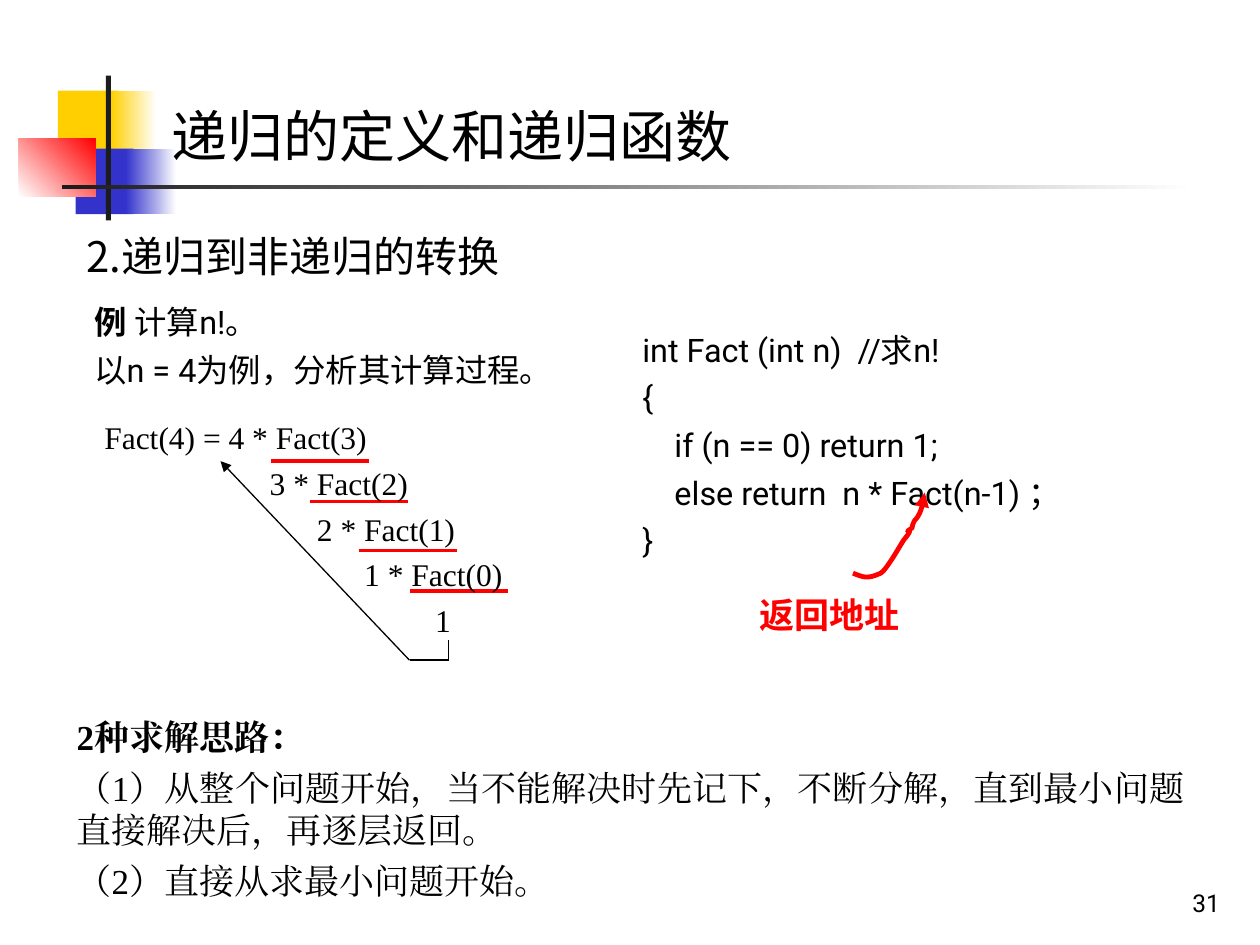
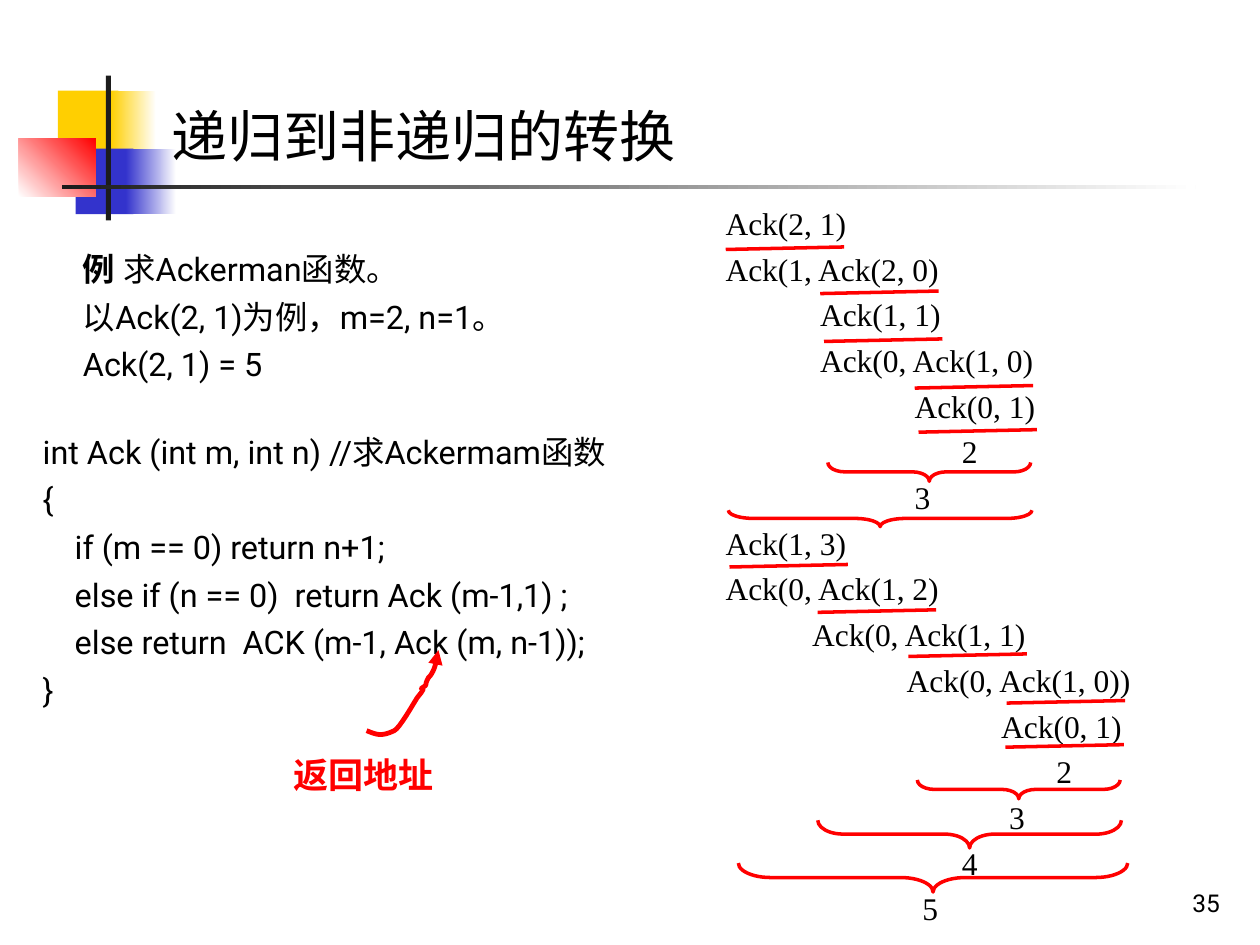
from lxml import etree
from pptx import Presentation
from pptx import util as u
from pptx.dml.color import RGBColor
from pptx.enum import shapes, text
from pptx.oxml.ns import qn

COLORS = {
    "ink": "000000",
    "accent": "FF0000",
    "paper": "FFFFFF",
    "yellow": "FFCF01",
    "blue": "3333CC",
    "rule": "1C1C1C",
}
SANS, SERIF = "Roboto", "Times New Roman"
TITLE_FONT, HEADING_FONT = "Noto Sans CJK JP", "Noto Sans CJK SC"

# The grid has 10 columns and 7.5 rows of square cells.
COLUMNS, ROWS = 10, 7.5
CELL = u.Inches(1)
SPACE_WIDTH = 0.0625  # one step of trace indentation, in cells

# Curved arrow, relative to its start: control, control, end.
ARROW_CURVES = [
    [(0.08, 0.03), (0.11, 0.05), (0.22, 0)],
    [(0.26, -0.02), (0.37, -0.21), (0.40, -0.26)],
    [(0.52, -0.40), (0.37, -0.29), (0.47, -0.36)],
    [(0.47, -0.38), (0.48, -0.40), (0.49, -0.42)],
    [(0.50, -0.43), (0.51, -0.44), (0.52, -0.46)],
    [(0.54, -0.49), (0.55, -0.54), (0.56, -0.58)],
    [(0.57, -0.59), (0.57, -0.64), (0.57, -0.64)],
]


def grid(*lengths):
    return [u.Emu(round(length * CELL)) for length in lengths]


def rgb(name):
    return RGBColor.from_string(COLORS[name])


def add_block(slide, box, start, end=None, angle=0):
    """Add a plain rectangle, or one fading from start to end."""
    shape = slide.shapes.add_shape(shapes.MSO_SHAPE.RECTANGLE, *grid(*box))
    shape.shadow.inherit = False
    shape.line.fill.background()
    if end is None:
        shape.fill.solid()
        shape.fill.fore_color.rgb = rgb(start)
        return
    shape.fill.gradient()
    shape.fill.gradient_angle = angle
    for stop, color in zip(shape.fill.gradient_stops, (start, end)):
        stop.color.rgb = rgb(color)


def add_text(slide, box, lines, size, font=SANS, color="ink", bold=False,
             align=None, gap=0, bottom=False, indents=()):
    """Add one paragraph per line; indents counts steps for each line."""
    shape = slide.shapes.add_textbox(*grid(*box))
    frame = shape.text_frame
    frame.word_wrap = True
    if bottom:
        frame.vertical_anchor = text.MSO_ANCHOR.BOTTOM
    frame.text = "\n".join(lines)
    for index, paragraph in enumerate(frame.paragraphs):
        paragraph.alignment = align
        paragraph.line_spacing = u.Pt(1.2 * size)
        if index:
            paragraph.space_before = u.Pt(gap)
        if indents:
            properties = paragraph._p.get_or_add_pPr()
            properties.set("marL", str(grid(indents[index] * SPACE_WIDTH)[0]))
            properties.set("indent", "0")
        for run in paragraph.runs:
            format_run(run, size, font, color, bold)
    return frame


def format_run(run, size, font, color, bold):
    run.font.size = u.Pt(size)
    run.font.name = font
    run.font.bold = bold
    run.font.color.rgb = rgb(color)
    east_asian = etree.SubElement(run._r.get_or_add_rPr(), qn("a:ea"))
    east_asian.set("typeface", font)


def add_arrowhead(shape):
    line = shape.line._get_or_add_ln()
    etree.SubElement(line, qn("a:tailEnd")).set("type", "triangle")


def add_line(slide, start, end, color="accent", width=2, arrow=False):
    connector = slide.shapes.add_connector(
        shapes.MSO_CONNECTOR.STRAIGHT, *grid(*start, *end))
    connector.line.color.rgb = rgb(color)
    connector.line.width = u.Pt(width)
    if arrow:
        add_arrowhead(connector)
    etree.SubElement(connector._element.spPr, qn("a:effectLst"))


def add_underlines(slide, starts, length, rise=0):
    for x, y in starts:
        add_line(slide, (x, y), (x + length, y - rise))


def add_brace(slide, left, top, span, depth):
    """Add a brace that opens upward and points down."""
    x, y = left + (span - depth) / 2, top + (depth - span) / 2
    brace = slide.shapes.add_shape(
        shapes.MSO_SHAPE.RIGHT_BRACE, *grid(x, y, depth, span))
    brace.rotation = 90
    brace.adjustments[0] = span / 12 / depth
    brace.shadow.inherit = False
    brace.fill.background()
    brace.line.color.rgb = rgb("accent")
    brace.line.width = u.Pt(2)


def curve_points(curves, steps=8):
    """Sample a chain of cubic curves that starts at the origin."""
    start = (0, 0)
    for first, second, end in curves:
        for step in range(1, steps + 1):
            t = step / steps
            yield tuple(
                (1 - t) ** 3 * a + 3 * (1 - t) ** 2 * t * b
                + 3 * (1 - t) * t ** 2 * c + t ** 3 * d
                for a, b, c, d in zip(start, first, second, end))
        start = end


def add_return_address(slide, label_corner, arrow_start):
    add_text(slide, (*label_corner, 1.47, 0.44), ["返回地址"], 20,
             color="accent", bold=True, bottom=True)
    x, y = arrow_start
    builder = slide.shapes.build_freeform(*grid(x, y))
    builder.add_line_segments(
        [grid(x + dx, y + dy) for dx, dy in curve_points(ARROW_CURVES)],
        close=False)
    arrow = builder.convert_to_shape()
    arrow.shadow.inherit = False
    arrow.fill.background()
    arrow.line.color.rgb = rgb("accent")
    arrow.line.width = u.Pt(2.75)
    add_arrowhead(arrow)


def add_example(slide, box, lines):
    """Add the example text; its leading word 例 is bold."""
    frame = add_text(slide, box, lines, 18.5, gap=5)
    first = frame.paragraphs[0]
    rest = first.runs[0].text
    first.runs[0].text = "例 "
    first.runs[0].font.bold = True
    run = first.add_run()
    run.text = rest.removeprefix("例 ")
    format_run(run, 18.5, SANS, "ink", False)


def add_code(slide, box, lines):
    add_text(slide, box, lines, 18.5, gap=5)


def add_trace(slide, box, steps):
    indents, lines = zip(*steps)
    add_text(slide, box, lines, 18, SERIF, gap=4.5, indents=indents)


def add_page(presentation, title, number):
    slide = presentation.slides.add_slide(presentation.slide_layouts[6])
    add_block(slide, (0.46, 0.72, 0.48, 0.52), "yellow")
    add_block(slide, (0.88, 0.72, 0.36, 0.52), "yellow", "paper")
    add_block(slide, (0.6, 1.18, 0.46, 0.52), "blue")
    add_block(slide, (1, 1.18, 0.4, 0.52), "blue", "paper")
    add_block(slide, (0.15, 1.1, 0.61, 0.46), "paper", "accent", 45)
    add_block(slide, (0.84, 0.6, 0.04, 1.15), "rule")
    add_block(slide, (0.49, 1.47, 9, 0.03), "rule", "paper")
    add_text(slide, (1.26, 0.76, 8.74, 0.64), [title], 32, TITLE_FONT)
    add_text(slide, (7.7, 6.83, 2.08, 0.5), [str(number)], 14,
             align=text.PP_ALIGN.RIGHT, bottom=True)
    return slide


def build_factorial(presentation):
    slide = add_page(presentation, "递归的定义和递归函数", 31)
    add_text(slide, (0.59, 1.78, 7.4, 0.5), ["2.递归到非递归的转换"], 24,
             HEADING_FONT)
    add_example(slide, (0.65, 2.35, 8.93, 0.82),
                ["例 计算n!。", "以n = 4为例，分析其计算过程。"])
    add_underlines(
        slide, [(2.15, 3.66), (2.46, 3.98), (2.85, 4.37), (3.25, 4.69)], 0.78)
    add_trace(slide, (0.73, 3.27, 8.5, 2.22), [
        (0, "Fact(4) = 4 * Fact(3)"),
        (21, "3 * Fact(2)"),
        (27, "2 * Fact(1)"),
        (33, "1 * Fact(0)"),
        (42, "1"),
    ])
    corner, result = (3.25, 5.24), (3.56, 5.24)
    add_line(slide, corner, (1.75, 3.66), "ink", 0.75, arrow=True)
    add_line(slide, (3.56, 5.08), result, "ink", 1)
    add_line(slide, corner, result, "ink", 1)
    ideas = add_text(slide, (0.51, 5.63, 8.99, 1.58), [
        "2种求解思路：",
        "（1）从整个问题开始，当不能解决时先记下，不断分解，"
        "直到最小问题直接解决后，再逐层返回。",
        "（2）直接从求最小问题开始。",
    ], 20, SERIF, align=text.PP_ALIGN.JUSTIFY, gap=5)
    ideas.paragraphs[0].runs[0].font.bold = True
    add_code(slide, (5, 2.57, 4.42, 2), [
        "int Fact (int n)  //求n!",
        "{",
        "    if (n == 0) return 1;",
        "    else return  n * Fact(n-1) ；",
        "}",
    ])
    add_return_address(slide, (5.93, 4.65), (6.77, 4.55))


def build_ackermann(presentation):
    slide = add_page(presentation, "递归到非递归的转换", 35)
    add_example(slide, (0.56, 1.93, 4.41, 1.18), [
        "例 求Ackerman函数。",
        "以Ack(2, 1)为例，m=2, n=1。",
        "Ack(2, 1) = 5",
    ])
    add_code(slide, (0.24, 3.38, 5.28, 2.48), [
        "int Ack (int m, int n) //求Ackermam函数",
        "{",
        "    if (m == 0) return n+1;",
        "    else if (n == 0)  return Ack (m-1,1) ;",
        "    else return  ACK (m-1, Ack (m, n-1));",
        "}",
    ])
    add_return_address(slide, (2.23, 5.92), (2.91, 5.8))
    add_trace(slide, (5.66, 1.57, 3.61, 5.84), [
        (0, "Ack(2, 1)"),
        (0, "Ack(1, Ack(2, 0)"),
        (12, "Ack(1, 1)"),
        (12, "Ack(0, Ack(1, 0)"),
        (24, "Ack(0, 1)"),
        (30, "2"),
        (24, "3"),
        (0, "Ack(1, 3)"),
        (0, "Ack(0, Ack(1, 2)"),
        (11, "Ack(0, Ack(1, 1)"),
        (23, "Ack(0, Ack(1, 0))"),
        (35, "Ack(0, 1)"),
        (42, "2"),
        (36, "3"),
        (30, "4"),
        (25, "5"),
    ])
    add_underlines(slide, [
        (5.76, 1.98), (6.51, 2.33), (6.54, 2.71), (7.26, 3.08), (7.29, 3.43),
        (5.79, 4.5), (6.49, 4.86), (7.21, 5.21), (7.99, 5.58), (7.98, 5.93),
    ], 0.94, rise=0.02)
    for brace in [
        (6.57, 3.67, 1.61, 0.15),
        (5.78, 4.05, 2.41, 0.13),
        (7.28, 6.19, 1.61, 0.15),
        (6.49, 6.51, 2.41, 0.22),
        (5.86, 6.85, 3.09, 0.23),
    ]:
        add_brace(slide, *brace)


def main():
    presentation = Presentation()
    presentation.slide_width, presentation.slide_height = grid(COLUMNS, ROWS)
    build_factorial(presentation)
    build_ackermann(presentation)
    presentation.save("out.pptx")


if __name__ == "__main__":
    main()
